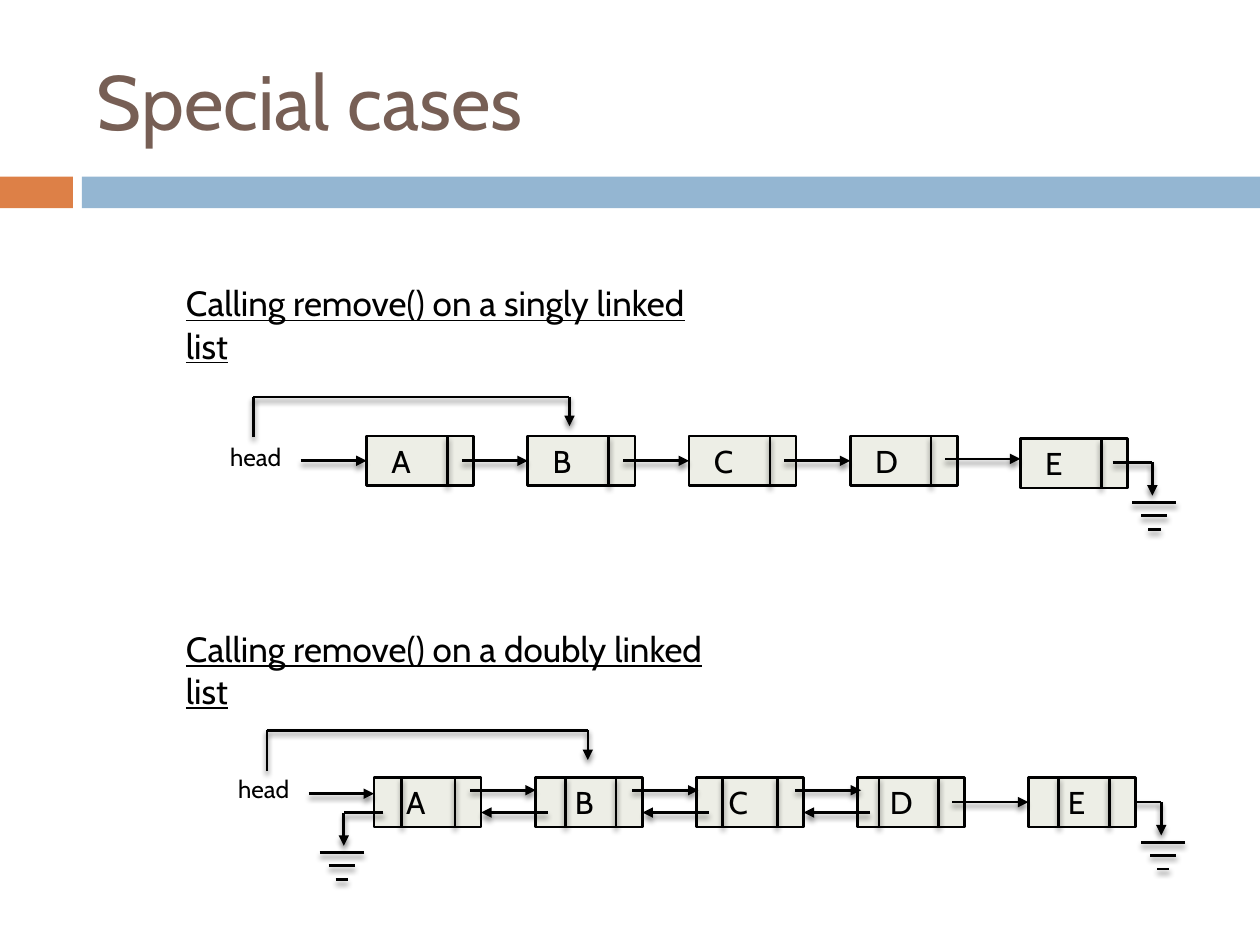
from dataclasses import dataclass

from lxml.etree import SubElement
from pptx import Presentation
from pptx.dml.color import RGBColor
from pptx.enum.shapes import MSO_CONNECTOR, MSO_SHAPE
from pptx.enum.text import MSO_ANCHOR, PP_ALIGN
from pptx.oxml.ns import qn
from pptx.util import Cm, Pt


@dataclass(frozen=True)
class Theme:
    font: str = "Cabin"
    title_color: RGBColor = RGBColor(0x77, 0x5F, 0x55)
    accent: RGBColor = RGBColor(0xDD, 0x80, 0x47)
    band: RGBColor = RGBColor(0x94, 0xB6, 0xD2)
    node_fill: RGBColor = RGBColor(0xED, 0xEE, 0xE6)
    ink: RGBColor = RGBColor(0, 0, 0)
    title_size: int = 44
    heading_size: int = 20
    node_size: int = 18
    label_size: int = 14
    line_width: float = 1.5


THEME = Theme()
NODE_WIDTH = 2.16
NODE_HEIGHT = 1.0
NODE_PITCH = 3.25
LINK_DIVIDER = 1.63


def write(frame, text, size, color=THEME.ink, underline=False):
    para = frame.paragraphs[0]
    para.alignment = PP_ALIGN.LEFT
    span = para.add_run()
    span.text = text
    span.font.name = THEME.font
    span.font.size = Pt(size)
    span.font.color.rgb = color
    if underline:
        span.font.underline = True


def add_text(page, left, top, width, height, text, size, wrap=True, **style):
    box = page.shapes.add_textbox(Cm(left), Cm(top), Cm(width), Cm(height))
    box.text_frame.word_wrap = wrap
    write(box.text_frame, text, size, **style)
    return box


def add_rectangle(page, left, top, width, height, fill):
    box = page.shapes.add_shape(
        MSO_SHAPE.RECTANGLE, Cm(left), Cm(top), Cm(width), Cm(height)
    )
    box.shadow.inherit = False
    box.fill.solid()
    box.fill.fore_color.rgb = fill
    box.line.fill.background()
    return box


def add_line(page, start, end, arrow=False, target=None):
    line = page.shapes.add_connector(
        MSO_CONNECTOR.STRAIGHT, *(Cm(value) for value in (*start, *end))
    )
    line.line.color.rgb = THEME.ink
    line.line.width = Pt(THEME.line_width)
    if target is not None:
        line.end_connect(target, 1)
    properties = line._element.spPr
    if arrow:
        SubElement(properties.find(qn("a:ln")), qn("a:tailEnd"), type="triangle")
    effects = SubElement(properties, qn("a:effectLst"))
    shadow = SubElement(
        effects, qn("a:outerShdw"), blurRad=str(Pt(3)), dist=str(Pt(2.4)),
        dir="5400000", rotWithShape="0",
    )
    color = SubElement(shadow, qn("a:srgbClr"), val=str(THEME.ink))
    SubElement(color, qn("a:alpha"), val="45000")


def add_node(page, left, top, letter, inset, dividers):
    node = add_rectangle(page, left, top, NODE_WIDTH, NODE_HEIGHT, THEME.node_fill)
    node.line.color.rgb = THEME.ink
    node.line.width = Pt(THEME.line_width)
    frame = node.text_frame
    frame.margin_left = Cm(inset)
    frame.margin_right = 0
    frame.vertical_anchor = MSO_ANCHOR.MIDDLE
    write(frame, letter, THEME.node_size)
    for offset in dividers:
        add_line(page, (left + offset, top), (left + offset, top + NODE_HEIGHT))
    return node


def add_ground(page, start, top, direction=1):
    corner = start + 0.8 * direction
    middle = corner + 0.04 * direction
    add_line(page, (start, top), (corner, top))
    add_line(page, (corner, top), (corner, top + 0.67), arrow=True)
    for drop, width in ((0.81, 0.89), (1.07, 0.53), (1.35, 0.25)):
        level = top + drop
        add_line(page, (middle - width / 2, level), (middle + width / 2, level))


def add_bypass(page, left, right, top, bottom, tip):
    add_line(page, (left, bottom), (left, top))
    add_line(page, (left, top), (right, top))
    add_line(page, (right, top), (right, tip), arrow=True)


def add_heading(page, top, width, text):
    add_text(page, 3.5, top, width, 1.95, text, THEME.heading_size, underline=True)


def add_head_label(page, left, top):
    add_text(page, left, top, 1.57, 0.86, "head", THEME.label_size, wrap=False)


def add_title(page):
    add_rectangle(page, 0, 3.56, 1.47, 0.64, THEME.accent)
    add_rectangle(page, 1.65, 3.56, 23.75, 0.64, THEME.band)
    title = add_text(
        page, 1.7, 0.64, 22.66, 2.74, "Special cases",
        THEME.title_size, color=THEME.title_color,
    )
    title.text_frame.vertical_anchor = MSO_ANCHOR.MIDDLE


def add_singly_linked_list(page):
    first, top = 7.39, 8.79
    middle = top + NODE_HEIGHT / 2
    last = 20.57
    add_heading(page, 5.56, 11.23, "Calling remove() on a singly linked list")
    add_head_label(page, 4.39, top)
    for index, letter in enumerate("ABCD"):
        left = first + index * NODE_PITCH
        node = add_node(page, left, top, letter, 0.5, [LINK_DIVIDER])
        add_line(page, (left - 1.33, middle), (left, middle), arrow=True, target=node)
    add_node(page, last, top + 0.05, "E", 0.5, [LINK_DIVIDER])
    add_line(page, (19.05, 9.25), (last, 9.25), arrow=True)
    add_bypass(page, 5.11, 11.48, 8.0, 8.81, 8.59)
    add_ground(page, 22.43, 9.32)


def add_doubly_linked_list(page):
    first, top = 7.54, 15.67
    middle = top + NODE_HEIGHT / 2
    last = 20.73
    add_heading(page, 12.52, 11.58, "Calling remove() on a doubly linked list")
    add_head_label(page, 4.55, 15.47)
    add_ground(page, 22.61, middle)
    tail = add_node(page, last, top, "E", 0.8, [0.61, LINK_DIVIDER])
    cells = (("A", 0.65, 0.56), ("B", 0.8, 0.61), ("C", 0.65, 0.53), ("D", 0.65, 0.43))
    for index, (letter, inset, back_divider) in enumerate(cells):
        left = first + index * NODE_PITCH
        add_node(page, left, top, letter, inset, [back_divider, LINK_DIVIDER])
    for index in range(len(cells) - 1):
        forward = 9.47 + index * 3.28
        back = first + NODE_WIDTH + index * NODE_PITCH
        add_line(page, (forward, 15.93), (forward + 1.33, 15.93), arrow=True)
        add_line(page, (back + 1.34, 16.38), (back, 16.38), arrow=True)
    add_line(page, (6.22, 16), (first, 16), arrow=True)
    add_line(page, (19.2, middle), (last, middle), arrow=True, target=tail)
    add_ground(page, 7.73, 16.38, direction=-1)
    add_bypass(page, 5.38, 11.85, 14.72, 15.54, 15.32)


def main():
    deck = Presentation()
    deck.slide_width = Cm(25.4)
    deck.slide_height = Cm(19.05)
    page = deck.slides.add_slide(deck.slide_layouts[6])
    add_title(page)
    add_singly_linked_list(page)
    add_doubly_linked_list(page)
    deck.save("out.pptx")


if __name__ == "__main__":
    main()
